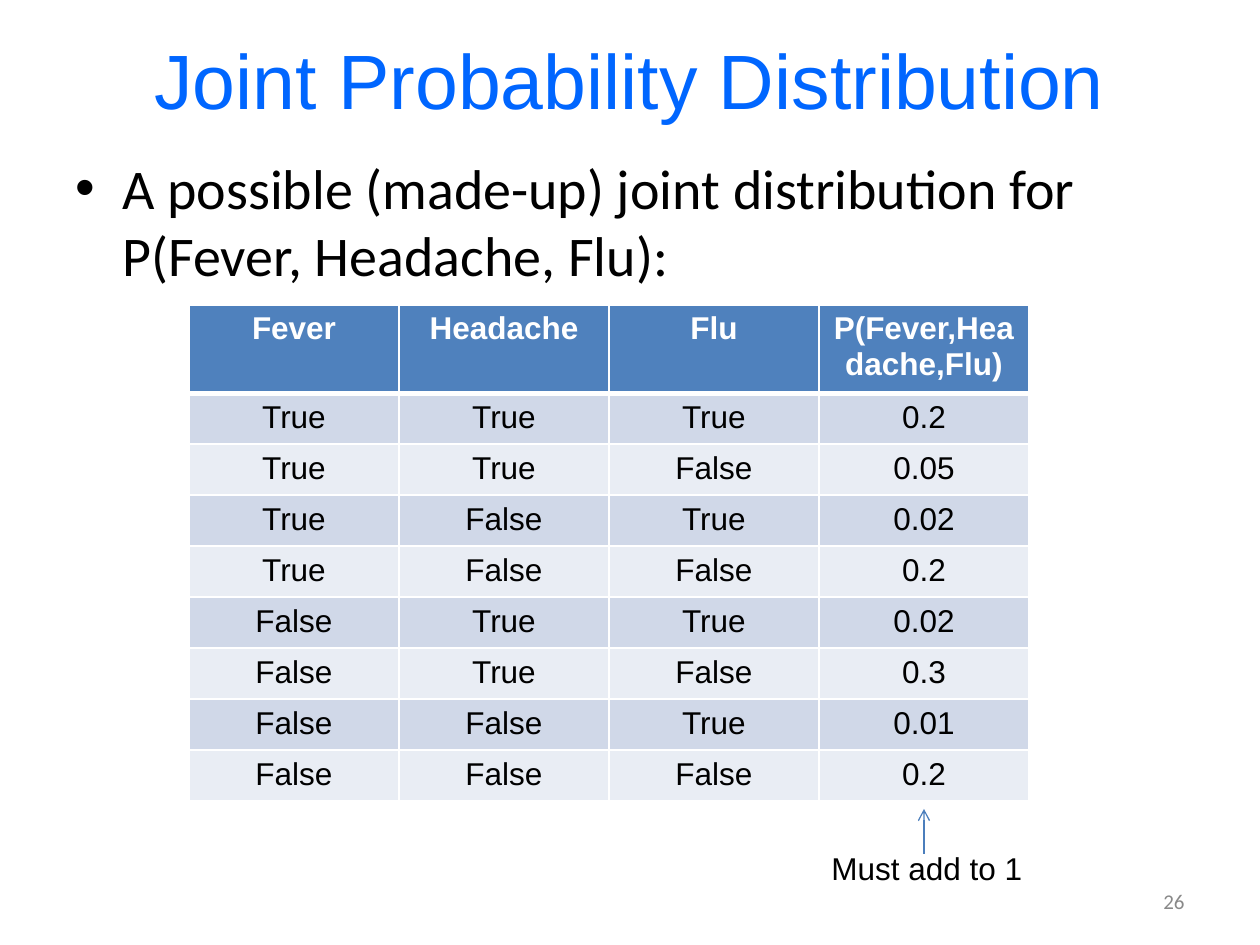
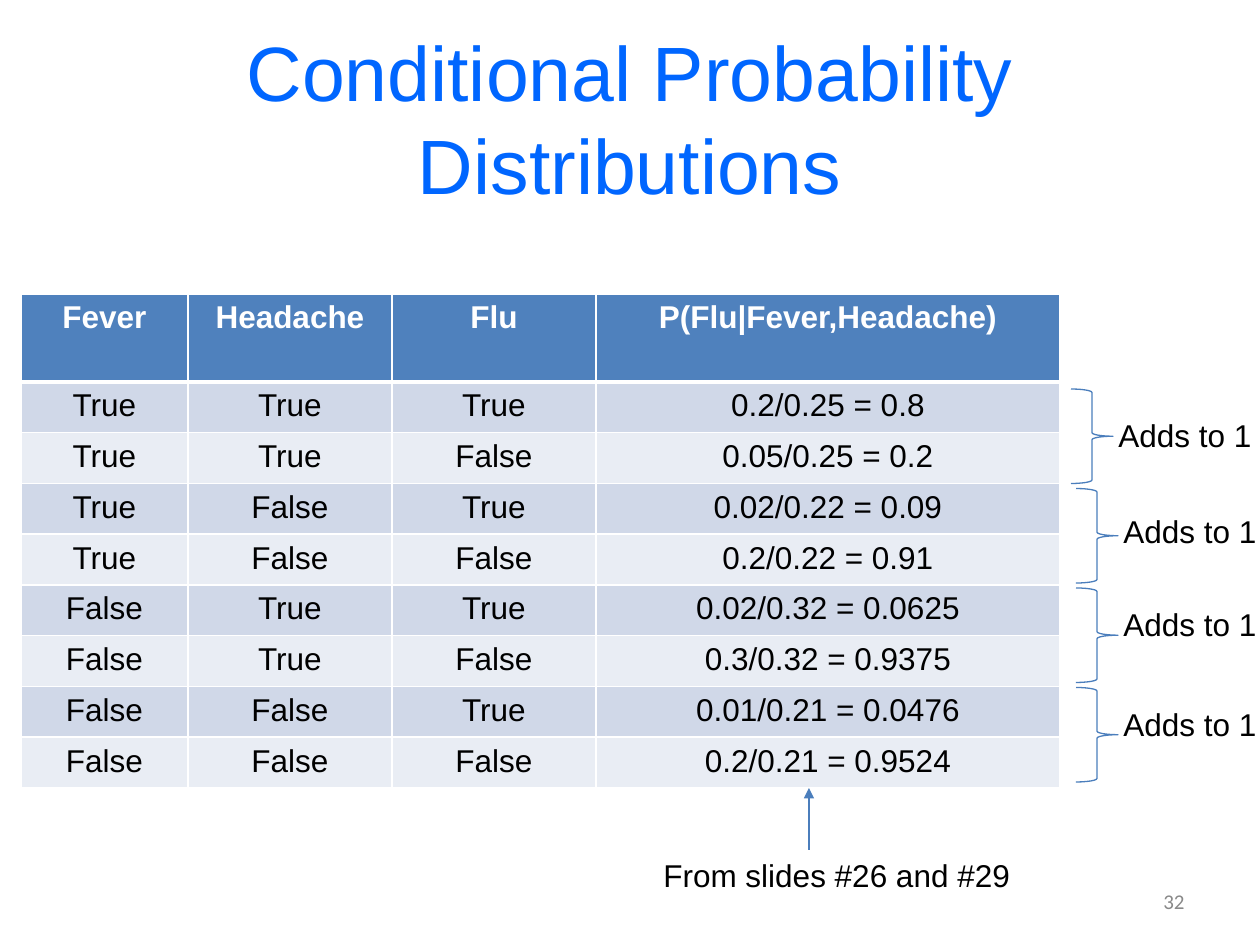
from itertools import product

from lxml import etree
from pptx import Presentation
from pptx.dml.color import RGBColor
from pptx.enum import shapes, text
from pptx.oxml import ns
from pptx import util as u

SCALE = u.Inches(1) / 126
TITLE_BLUE = RGBColor(0x00, 0x66, 0xFF)
HEADER_BLUE = RGBColor(0x4F, 0x81, 0xBD)
LINE_BLUE = RGBColor(0x4B, 0x7E, 0xBC)
BANDS = RGBColor(0xD0, 0xD8, 0xE8), RGBColor(0xE9, 0xED, 0xF4)
WHITE = RGBColor(0xFF, 0xFF, 0xFF)
BLACK = RGBColor(0x00, 0x00, 0x00)
GREY = RGBColor(0x89, 0x89, 0x89)
LEFT, CENTER, RIGHT = text.PP_ALIGN.LEFT, text.PP_ALIGN.CENTER, text.PP_ALIGN.RIGHT

OUTCOMES = list(product(("True", "False"), repeat=3))
VARIABLES = ["Fever", "Headache", "Flu"]
JOINT = ["0.2", "0.05", "0.02", "0.2", "0.02", "0.3", "0.01", "0.2"]
CONDITIONAL = [
    "0.2/0.25 = 0.8", "0.05/0.25 = 0.2", "0.02/0.22 = 0.09", "0.2/0.22 = 0.91",
    "0.02/0.32 = 0.0625", "0.3/0.32 = 0.9375", "0.01/0.21 = 0.0476", "0.2/0.21 = 0.9524",
]


def px(*lengths):
    return [u.Emu(round(length * SCALE)) for length in lengths]


def write(para, words, size, color, align=LEFT, font="Arial", bold=False):
    para.alignment = align
    span = para.add_run()
    span.text = words
    span.font.name = font
    span.font.size = u.Pt(size)
    span.font.bold = bold
    span.font.color.rgb = color


def add_text(page, box, words, size, color, align=LEFT, font="Arial",
             anchor=text.MSO_ANCHOR.TOP, wrap=True):
    frame = page.shapes.add_textbox(*px(*box)).text_frame
    frame.word_wrap = wrap
    frame.vertical_anchor = anchor
    if not wrap:
        frame.auto_size = text.MSO_AUTO_SIZE.SHAPE_TO_FIT_TEXT
    write(frame.paragraphs[0], words, size, color, align, font)
    return frame.paragraphs[0]


def add_label(page, box, words):
    add_text(page, box, words, 18, BLACK, wrap=False)


def add_page(deck, title, title_top, number):
    page = deck.slides.add_slide(deck.slide_layouts[6])
    middle = text.MSO_ANCHOR.MIDDLE
    add_text(page, (63, title_top, 1134, 158), title, 44, TITLE_BLUE, CENTER, anchor=middle)
    add_text(page, (903, 876, 294, 50), number, 12, GREY, RIGHT, "Calibri", middle)
    return page


def add_bullet(page, box, words):
    para = add_text(page, box, words, 32, BLACK, font="Calibri")
    properties = para._p.get_or_add_pPr()
    indent, = px(47)
    properties.set("marL", str(indent))
    properties.set("indent", str(-indent))
    etree.SubElement(properties, ns.qn("a:buFont"), typeface="Arial")
    etree.SubElement(properties, ns.qn("a:buChar"), char="•")


def add_borders(cell, top, bottom):
    properties = cell._tc.get_or_add_tcPr()
    widths = {"lnL": 1, "lnR": 1, "lnT": top, "lnB": bottom}
    for place, (side, width) in enumerate(widths.items()):
        line = etree.Element(ns.qn(f"a:{side}"), w=str(u.Pt(width)))
        fill = etree.SubElement(line, ns.qn("a:solidFill"))
        etree.SubElement(fill, ns.qn("a:srgbClr"), val=str(WHITE))
        properties.insert(place, line)


def add_probability_table(page, box, columns, heading, values, header=88):
    rows = [VARIABLES + [heading]]
    rows += [[*outcome, value] for outcome, value in zip(OUTCOMES, values)]
    table = page.shapes.add_table(len(rows), len(columns), *px(*box)).table
    table.first_row = table.horz_banding = False
    for column, width in zip(table.columns, columns):
        column.width, = px(width)
    row_height = (box[3] - header) / len(values)
    for index, words in enumerate(rows):
        is_header = index == 0
        table.rows[index].height, = px(header if is_header else row_height)
        for cell, word in zip(table.rows[index].cells, words):
            cell.fill.solid()
            cell.fill.fore_color.rgb = HEADER_BLUE if is_header else BANDS[(index - 1) % 2]
            add_borders(cell, 3 if index == 1 else 1, 3 if is_header else 1)
            write(cell.text_frame.paragraphs[0], word, 18,
                  WHITE if is_header else BLACK, CENTER, bold=is_header)


def add_up_arrow(page, x, bottom, top, head):
    arrow = page.shapes.add_connector(shapes.MSO_CONNECTOR.STRAIGHT, *px(x, bottom, x, top))
    arrow.line.color.rgb = LINE_BLUE
    arrow.line.width = u.Pt(0.75)
    etree.SubElement(arrow.line._get_or_add_ln(), ns.qn("a:tailEnd"), type=head)
    etree.SubElement(arrow._element.spPr, ns.qn("a:effectLst"))


def add_sum_braces(page, box):
    left, top, width, height = box
    offsets = [(0, 21), (5, 17), (5, 11), (5, 11)]
    pitch = height / len(offsets)
    for index, (shift, drop) in enumerate(offsets):
        x, y = left + shift, top + index * pitch
        brace = page.shapes.add_shape(shapes.MSO_SHAPE.RIGHT_BRACE, *px(x, y, width, pitch - 5))
        brace.shadow.inherit = False
        brace.fill.background()
        brace.line.color.rgb = LINE_BLUE
        brace.line.width = u.Pt(0.75)
        add_label(page, (x + 35, y + drop, 160, 50), "Adds to 1")


def build_joint(deck):
    page = add_page(deck, "Joint Probability Distribution", 0, "26")
    add_bullet(page, (63, 147, 1134, 624),
               "A possible (made-up) joint distribution for P(Fever, Headache, Flu):")
    add_probability_table(page, (189, 305, 840, 496), [210] * 4, "P(Fever,Headache,Flu)", JOINT)
    add_label(page, (819, 843, 218, 50), "Must add to 1")
    add_up_arrow(page, 924, 854, 809, "arrow")


def build_conditional(deck):
    page = add_page(deck, "Conditional Probability Distributions", 38, "32")
    add_probability_table(page, (21, 294, 1039, 494), [167, 204, 204, 464],
                          "P(Flu|Fever,Headache)", CONDITIONAL)
    add_sum_braces(page, (1071, 389, 42, 398))
    add_label(page, (651, 850, 375, 50), "From slides #26 and #29")
    add_up_arrow(page, 809, 850, 788, "triangle")


def main():
    deck = Presentation()
    deck.slide_width, deck.slide_height = px(1260, 945)
    build_joint(deck)
    build_conditional(deck)
    deck.save("out.pptx")


if __name__ == "__main__":
    main()
